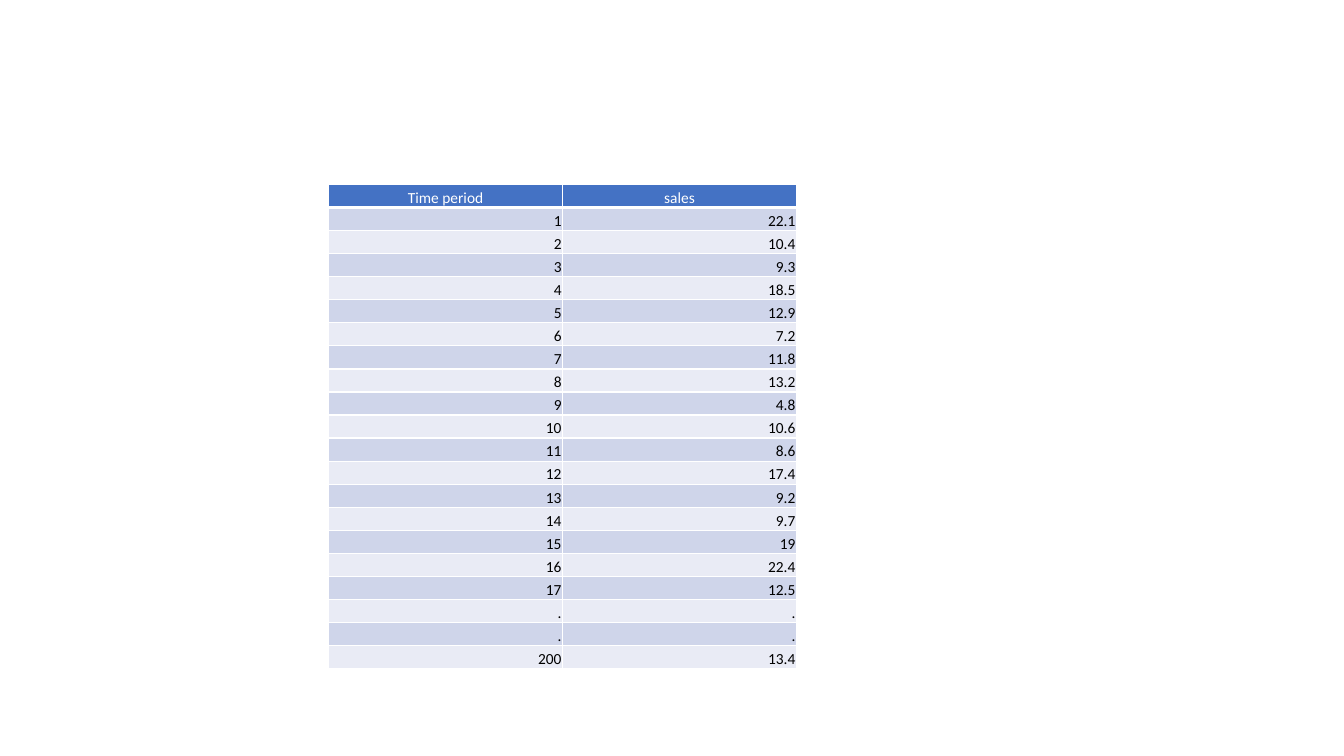
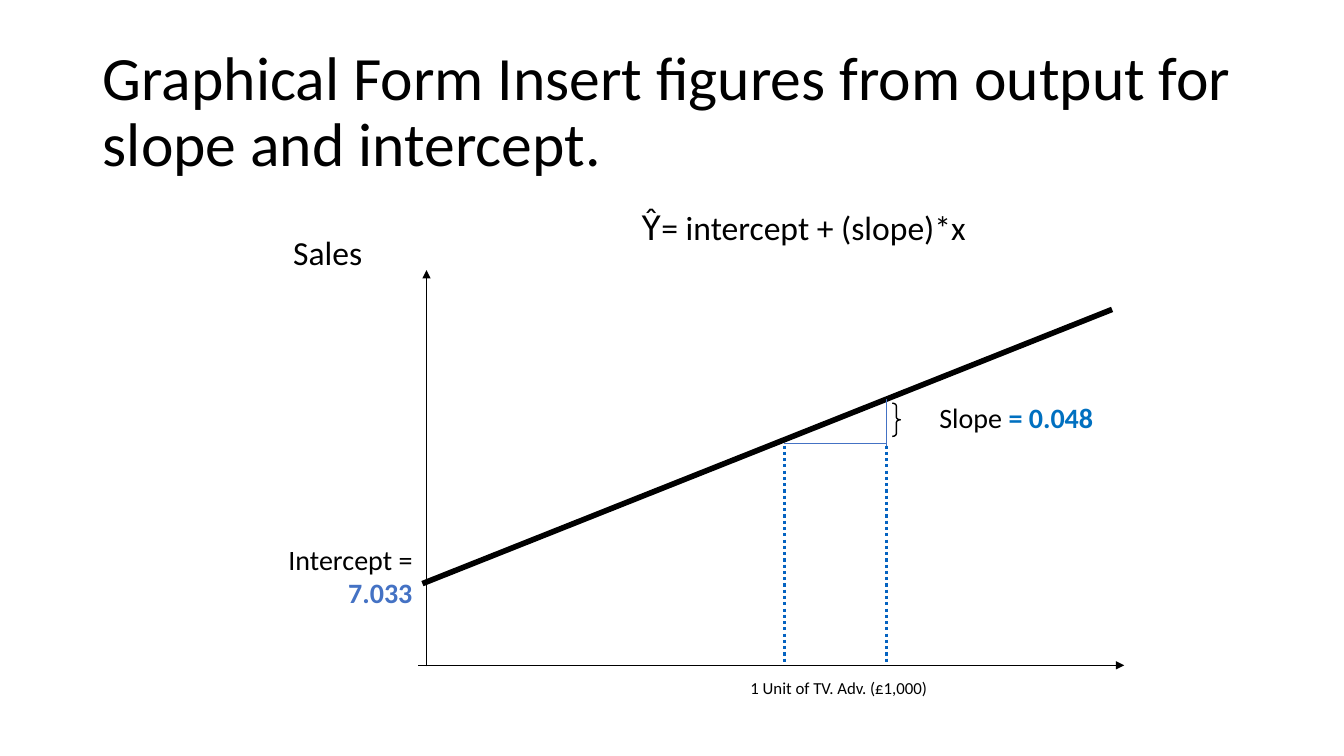
from lxml import etree
from pptx import Presentation
from pptx.dml.color import RGBColor
from pptx.enum.dml import MSO_LINE
from pptx.enum.shapes import MSO_CONNECTOR, MSO_SHAPE
from pptx.enum.text import MSO_ANCHOR, MSO_AUTO_SIZE, PP_ALIGN
from pptx.oxml.ns import qn
from pptx.util import Emu, Pt

# Shared style
PX = 9144  # 100 px to the inch
FONT = "Calibri"
SYMBOL_FONT = "DejaVu Sans Mono"
BLACK = RGBColor(0x00, 0x00, 0x00)
WHITE = RGBColor(0xFF, 0xFF, 0xFF)
BLUE = RGBColor(0x44, 0x72, 0xC4)
SLOPE_BLUE = RGBColor(0x00, 0x70, 0xC0)
GUIDE_BLUE = RGBColor(0x05, 0x63, 0xC1)
BAND_DARK = RGBColor(0xCF, 0xD5, 0xEA)
BAND_LIGHT = RGBColor(0xE9, 0xEB, 0xF5)

TITLE_ONLY, BLANK = 5, 6

HEADER = ("Time period", "sales")
SALES = ("22.1", "10.4", "9.3", "18.5", "12.9", "7.2", "11.8", "13.2", "4.8",
         "10.6", "8.6", "17.4", "9.2", "9.7", "19", "22.4", "12.5")
ROWS = [HEADER,
        *((str(period), value) for period, value in enumerate(SALES, 1)),
        (".", "."), (".", "."), ("200", "13.4")]


def px(*lengths):
    return [Emu(length * PX) for length in lengths]


def style_run(span, size, color=BLACK, bold=False, font=FONT):
    span.font.name = font
    span.font.size = Pt(size)
    span.font.bold = bold
    span.font.color.rgb = color


def add_title(page, text):
    title = page.shapes.title
    title.left, title.top, title.width, title.height = px(92, 40, 1150, 145)
    frame = title.text_frame
    frame.text = text
    frame.auto_size = MSO_AUTO_SIZE.NONE
    frame.vertical_anchor = MSO_ANCHOR.MIDDLE
    para = frame.paragraphs[0]
    para.alignment = PP_ALIGN.LEFT
    para.line_spacing = 0.9
    style_run(para.runs[0], 44)


def add_label(page, place, size, *parts, align=PP_ALIGN.CENTER):
    """Each part is a text with a dict of its own run formats."""
    box = page.shapes.add_textbox(*px(*place))
    box.text_frame.word_wrap = True
    para = box.text_frame.paragraphs[0]
    para.alignment = align
    for text, formats in parts:
        span = para.add_run()
        span.text = text
        style_run(span, size, **formats)


def add_line(page, start, end, color=BLACK, width=1, dash=None, arrow=False):
    line = page.shapes.add_connector(MSO_CONNECTOR.STRAIGHT, *px(*start, *end))
    line.line.color.rgb = color
    line.line.width = Pt(width)
    if dash:
        line.line.dash_style = dash
    properties = line._element.spPr
    if arrow:
        etree.SubElement(properties.find(qn("a:ln")), qn("a:tailEnd"), type="triangle")
    etree.SubElement(properties, qn("a:effectLst"))


def add_brace(page, place):
    brace = page.shapes.add_shape(MSO_SHAPE.RIGHT_BRACE, *px(*place))
    brace.adjustments[0] = 0.33
    brace.shadow.inherit = False
    brace.fill.background()
    brace.line.color.rgb = BLACK
    brace.line.width = Pt(1)


def add_borders(cell, bottom):
    properties = cell._tc.get_or_add_tcPr()
    for side, width in (("L", 1), ("R", 1), ("T", 1), ("B", bottom)):
        edge = etree.SubElement(properties, qn(f"a:ln{side}"), w=str(Pt(width)))
        fill = etree.SubElement(edge, qn("a:solidFill"))
        etree.SubElement(fill, qn("a:srgbClr"), val=str(WHITE))


def fill_cell(cell, text, is_header, fill):
    cell.text = text
    cell.vertical_anchor = MSO_ANCHOR.BOTTOM
    cell.margin_left, cell.margin_top, cell.margin_right, cell.margin_bottom = px(1, 1, 1, 0)
    para = cell.text_frame.paragraphs[0]
    para.alignment = PP_ALIGN.CENTER if is_header else PP_ALIGN.RIGHT
    style_run(para.runs[0], 11, WHITE if is_header else BLACK)
    add_borders(cell, 3 if is_header else 1)
    cell.fill.solid()
    cell.fill.fore_color.rgb = fill


def add_data_table(page, place, rows):
    left, top, width, height = px(*place)
    table = page.shapes.add_table(len(rows), len(rows[0]), left, top, width, height).table
    for number, values in enumerate(rows):
        table.rows[number].height = Emu(height // len(rows))
        band = BAND_DARK if number % 2 else BAND_LIGHT
        for column, text in enumerate(values):
            fill_cell(table.cell(number, column), text, number == 0,
                      band if number else BLUE)


def build_sales_table(deck):
    page = deck.slides.add_slide(deck.slide_layouts[BLANK])
    add_data_table(page, (326, 183, 464, 481), ROWS)


def build_regression_graph(deck):
    page = deck.slides.add_slide(deck.slide_layouts[TITLE_ONLY])
    add_title(page, "Graphical Form Insert figures from output for slope and intercept.")

    # Equation and intercept
    add_label(page, (448, 200, 698, 50), 24,
              ("Ŷ", {"font": SYMBOL_FONT}), ("= intercept + (slope)*x", {}))
    add_label(page, (252, 533, 167, 77), 20, ("Intercept = ", {}),
              ("7.033", {"color": BLUE, "bold": True}), align=PP_ALIGN.RIGHT)

    # Axes and fitted line
    add_line(page, (423, 661), (423, 268), arrow=True)
    add_label(page, (281, 225, 126, 50), 24, ("Sales", {}), align=PP_ALIGN.LEFT)
    add_line(page, (415, 660), (1115, 660), arrow=True)
    add_line(page, (419, 579), (1103, 307), width=4)

    # One unit step: slope triangle and dotted guides
    step_start, step_end = 778, 879
    add_line(page, (step_end, 442), (step_end, 396), BLUE)
    add_line(page, (step_start, 440), (step_end, 440), BLUE)
    for x in (step_start, step_end):
        add_line(page, (x, 442), (x, 658), GUIDE_BLUE, 2.25, MSO_LINE.ROUND_DOT)
    add_label(page, (727, 667, 210, 30), 12, ("1 Unit of TV. Adv. (£1,000)", {}))
    add_label(page, (885, 392, 246, 43), 20, ("Slope ", {}),
              ("= 0.048", {"color": SLOPE_BLUE, "bold": True}))
    add_brace(page, (885, 400, 8, 33))


def main():
    deck = Presentation()
    deck.slide_width, deck.slide_height = px(1333, 750)
    build_sales_table(deck)
    build_regression_graph(deck)
    deck.save("out.pptx")


if __name__ == "__main__":
    main()
